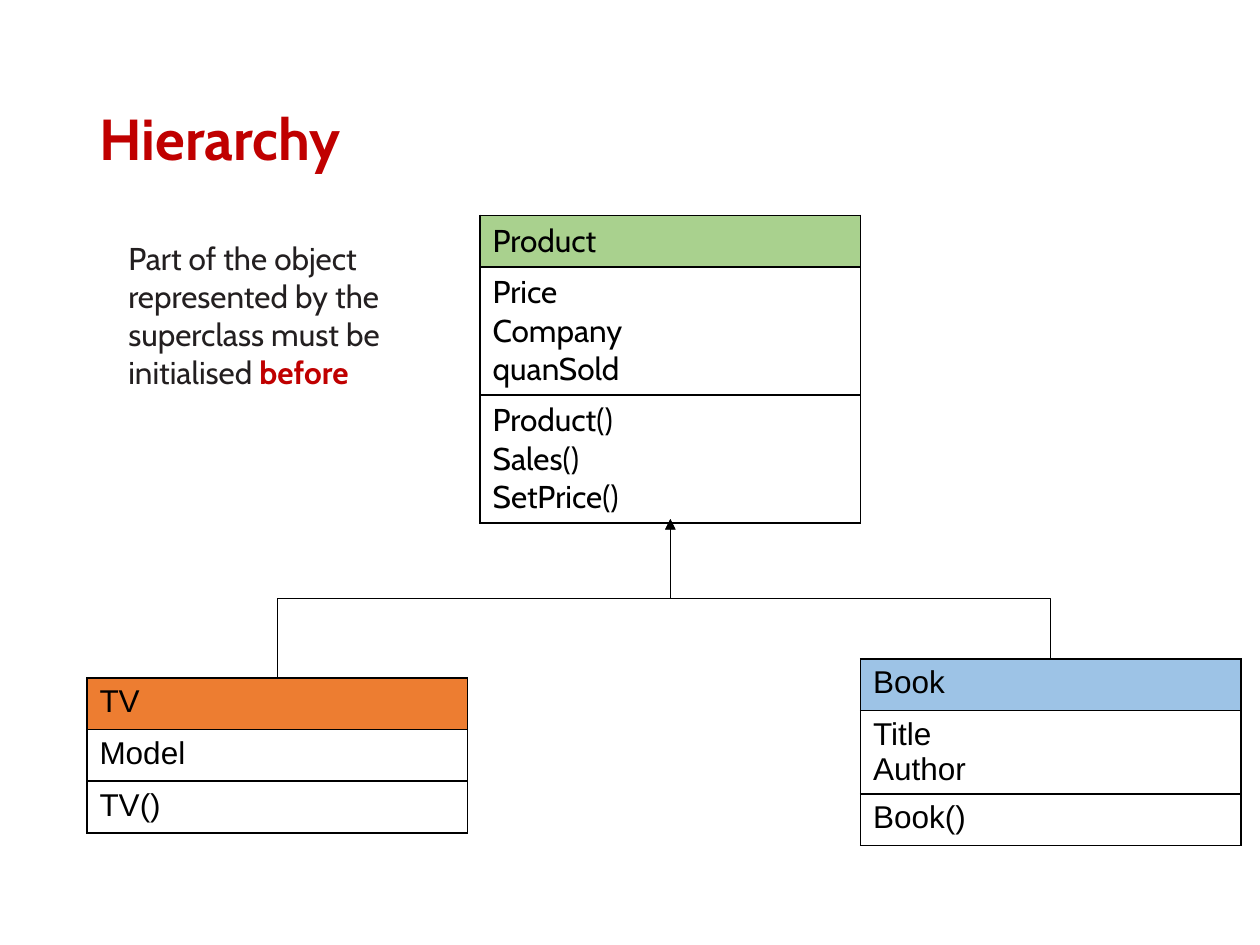
from lxml import etree
from pptx import Presentation
from pptx.dml.color import RGBColor
from pptx.enum.shapes import MSO_CONNECTOR
from pptx.enum.text import MSO_ANCHOR, PP_ALIGN
from pptx.oxml import parse_xml
from pptx.oxml.ns import nsdecls, qn
from pptx.util import Inches, Pt

ELBOW = MSO_CONNECTOR.ELBOW
MIDDLE = MSO_ANCHOR.MIDDLE
LEFT = PP_ALIGN.LEFT

BLACK, RED, DARK = "000000", "C00000", "231F20"
MARGIN, COLUMN = 0.69, 3.02
ROW = 0.41
BUS_Y = 4.75
PARENT_X = 3.81


def color(value):
    return RGBColor.from_string(value)


def format_run(run, size, font, value, bold=False):
    run.font.size = Pt(size)
    run.font.name = font
    run.font.bold = bold
    run.font.color.rgb = color(value)


def add_title(slide, text, box):
    title = slide.shapes.title
    title.left, title.top, title.width, title.height = map(Inches, box)
    title.text_frame.text = text
    title.text_frame.vertical_anchor = MIDDLE
    paragraph = title.text_frame.paragraphs[0]
    paragraph.alignment = LEFT
    paragraph.line_spacing = 0.9
    format_run(paragraph.runs[0], 33, "Cabin", RED, bold=True)


def add_note(slide, text, emphasis, box):
    frame = slide.shapes.add_textbox(*map(Inches, box)).text_frame
    frame.word_wrap = True
    frame.text = text
    paragraph = frame.paragraphs[0]
    format_run(paragraph.runs[0], 18, "Cabin", DARK)
    run = paragraph.add_run()
    run.text = emphasis
    format_run(run, 18, "Cabin", RED, bold=True)


def border_cell(cell):
    properties = cell._tc.get_or_add_tcPr()
    for index, side in enumerate(("lnL", "lnR", "lnT", "lnB")):
        properties.insert(index, parse_xml(
            f'<a:{side} {nsdecls("a")} w="{Pt(1)}"><a:solidFill>'
            f'<a:srgbClr val="{BLACK}"/></a:solidFill></a:{side}>'))


def add_class(slide, left, top, sections, header_fill, font, line_step):
    """Draw a class as name, attributes and methods; rows grow with their lines."""
    heights = [ROW + line_step * (len(lines) - 1) for lines in sections]
    frame = slide.shapes.add_table(
        len(sections), 1, Inches(left), Inches(top), Inches(COLUMN), Inches(sum(heights)))
    table = frame.table
    table.first_row = table.horz_banding = False
    for index, (lines, height) in enumerate(zip(sections, heights)):
        table.rows[index].height = Inches(height)
        cell = table.cell(index, 0)
        cell.text_frame.text = "\n".join(lines)
        for paragraph in cell.text_frame.paragraphs:
            format_run(paragraph.runs[0], 18, font, BLACK)
        if index == 0:
            cell.fill.solid()
            cell.fill.fore_color.rgb = color(header_fill)
        else:
            cell.fill.background()
        border_cell(cell)


def add_inheritance(slide, child, parent):
    """Run an elbow arrow up from the child, along the shared bus, to the parent."""
    (child_x, child_y), (parent_x, parent_y) = child, parent
    rise, span = child_y - parent_y, abs(child_x - parent_x)
    left = (child_x + parent_x - rise) / 2
    top = (child_y + parent_y - span) / 2
    # The elbow is laid out sideways about its centre, then turned upright.
    begin_y, end_y = (top, top + span) if child_x < parent_x else (top + span, top)
    connector = slide.shapes.add_connector(
        ELBOW, *map(Inches, (left, begin_y, left + rise, end_y)))
    connector.line.color.rgb = color(BLACK)
    connector.line.width = Pt(0.5)
    properties = connector._element.spPr
    properties.find(qn("a:xfrm")).set("rot", str(270 * 60000))
    bend = round((child_y - BUS_Y) / rise * 100000)
    guides = properties.find(qn("a:prstGeom")).get_or_add_avLst()
    etree.SubElement(guides, qn("a:gd"), name="adj1", fmla=f"val {bend}")
    etree.SubElement(connector.line._get_or_add_ln(), qn("a:tailEnd"), type="triangle")
    etree.SubElement(properties, qn("a:effectLst"))


def main():
    presentation = Presentation()
    presentation.slide_width, presentation.slide_height = Inches(10), Inches(7.5)
    slide = presentation.slides.add_slide(presentation.slide_layouts[5])

    add_title(slide, "Hierarchy", (MARGIN, 0.4, 10 - 2 * MARGIN, 1.45))

    add_class(slide, MARGIN, 5.38, [["TV"], ["Model"], ["TV()"]],
              "ED7D31", "Arial", 0.25)
    add_class(slide, PARENT_X + COLUMN, 5.23, [["Book"], ["Title", "Author"], ["Book()"]],
              "9DC3E6", "Arial", 0.25)
    add_class(slide, PARENT_X, 1.71,
              [["Product"], ["Price", "Company", "quanSold"],
               ["Product()", "Sales()", "SetPrice()"]],
              "A9D18E", "Cabin", 0.3)

    parent = (PARENT_X + COLUMN / 2, 4.12)
    for left, top in ((MARGIN, 5.38), (PARENT_X + COLUMN, 5.23)):
        add_inheritance(slide, (left + COLUMN / 2, top), parent)

    add_note(slide, "Part of the object represented by the superclass must be initialised ",
             "before", (0.92, 1.85, 3.2, 1.31))
    presentation.save("out.pptx")


if __name__ == "__main__":
    main()
